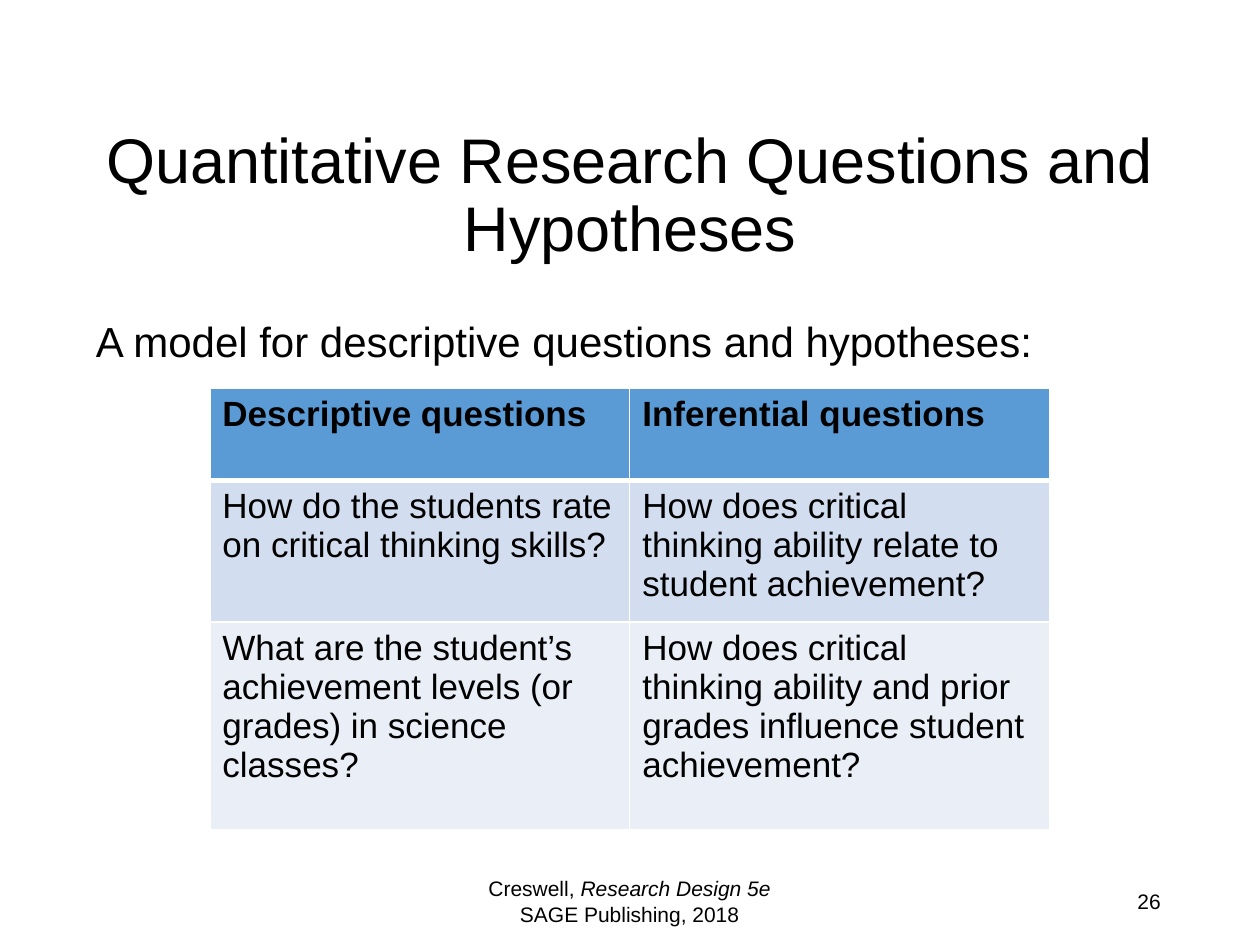
from lxml import etree
from pptx import Presentation
from pptx.dml.color import RGBColor
from pptx.enum.text import MSO_ANCHOR, MSO_AUTO_SIZE, PP_ALIGN
from pptx.oxml.ns import qn
from pptx.util import Cm, Pt

LEFT, CENTER, RIGHT = PP_ALIGN.LEFT, PP_ALIGN.CENTER, PP_ALIGN.RIGHT
TOP, MIDDLE = MSO_ANCHOR.TOP, MSO_ANCHOR.MIDDLE
BLACK = RGBColor(0x00, 0x00, 0x00)
WHITE = RGBColor(0xFF, 0xFF, 0xFF)
BLUE = RGBColor(0x5B, 0x9B, 0xD5)
LIGHT_BLUE = RGBColor(0xD2, 0xDE, 0xEF)
PALE_BLUE = RGBColor(0xEA, 0xEF, 0xF7)


def add_run(p, text, size=12, bold=False, italic=False, color=BLACK, font="Arial"):
    r = p.add_run()
    r.text = text
    r.font.name, r.font.size = font, Pt(size)
    r.font.bold, r.font.italic = bold, italic
    r.font.color.rgb = color


def add_border(cell, side, width):
    ln = etree.SubElement(cell._tc.get_or_add_tcPr(), qn(f"a:ln{side}"), w=str(Pt(width)))
    fill = etree.SubElement(ln, qn("a:solidFill"))
    etree.SubElement(fill, qn("a:srgbClr"), val=str(WHITE))


class SlideBuilder:
    def __init__(self, prs):
        self.s = prs.slides.add_slide(prs.slide_layouts[1])

    def place(self, sp, left, top, width, height, anchor):
        sp.left, sp.top, sp.width, sp.height = Cm(left), Cm(top), Cm(width), Cm(height)
        tf = sp.text_frame
        tf.word_wrap = True
        tf.auto_size = MSO_AUTO_SIZE.NONE
        tf.vertical_anchor = anchor
        return tf

    def placeholder(self, index, box, text, size, align, anchor):
        p = self.place(self.s.placeholders[index], *box, anchor).paragraphs[0]
        # No bullet and no hanging indent
        pPr = p._p.get_or_add_pPr()
        pPr.set("marL", "0")
        pPr.set("indent", "0")
        etree.SubElement(pPr, qn("a:buNone"))
        p.alignment, p.line_spacing, p.space_before = align, 0.9, Pt(0)
        add_run(p, text, size=size)

    def text(self, box, lines, align):
        sp = self.s.shapes.add_textbox(0, 0, 0, 0)
        tf = self.place(sp, *box, MIDDLE)
        for i, line in enumerate(lines):
            p = tf.add_paragraph() if i else tf.paragraphs[0]
            p.alignment = align
            for text, italic in line:
                add_run(p, text, italic=italic)

    def table(self, left, top, width, heights, rows, fills):
        columns = len(rows[0])
        frame = self.s.shapes.add_table(len(rows), columns, Cm(left), Cm(top),
                                        Cm(width), Cm(sum(heights)))
        table = frame.table
        for column in table.columns:
            column.width = Cm(width / columns)
        for i, row in enumerate(rows):
            table.rows[i].height = Cm(heights[i])
            for j, text in enumerate(row):
                cell = table.cell(i, j)
                # Thick white rule between the header and the body
                for side, width_pt in (("L", 1), ("R", 1), ("T", 3 if i == 1 else 1),
                                       ("B", 3 if i == 0 else 1)):
                    add_border(cell, side, width_pt)
                cell.fill.solid()
                cell.fill.fore_color.rgb = fills[i]
                add_run(cell.text_frame.paragraphs[0], text, size=20, bold=i == 0)


def main():
    prs = Presentation()
    prs.slide_width, prs.slide_height = Cm(25.4), Cm(19.05)
    slide = SlideBuilder(prs)

    # Title and lead-in
    slide.placeholder(0, (1.75, 2.13, 21.9, 3.68),
                      "Quantitative Research Questions and Hypotheses", 36, CENTER, MIDDLE)
    slide.placeholder(1, (1.68, 6.35, 21.9, 11.53),
                      "A model for descriptive questions and hypotheses:", 24, LEFT, TOP)

    # Question table
    slide.table(4.23, 7.83, 16.93, (1.85, 2.86, 4.18), (
        ("Descriptive questions", "Inferential questions"),
        ("How do the students rate on critical thinking skills?",
         "How does critical thinking ability relate to student achievement?"),
        ("What are the student’s achievement levels (or grades) in science classes?",
         "How does critical thinking ability and prior grades influence student achievement?"),
    ), (BLUE, LIGHT_BLUE, PALE_BLUE))

    # Slide number and source line
    slide.text((17.94, 17.66, 5.71, 1.01), [[("26", False)]], RIGHT)
    slide.text((8.41, 17.66, 8.57, 1.01), [
        [("Creswell, ", False), ("Research Design 5e", True)],
        [("SAGE Publishing, 2018", False)],
    ], CENTER)

    prs.save("out.pptx")


if __name__ == "__main__":
    main()
